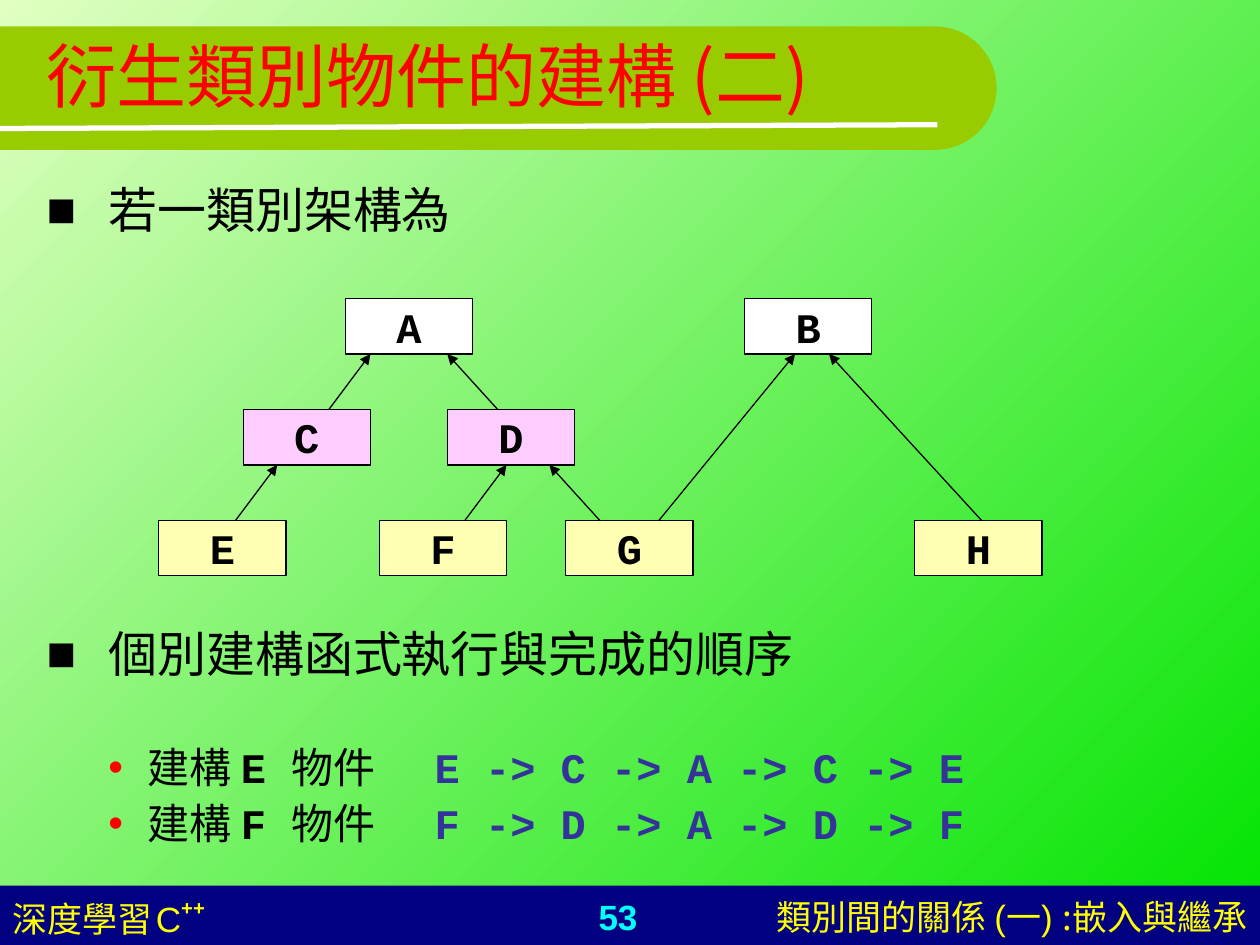
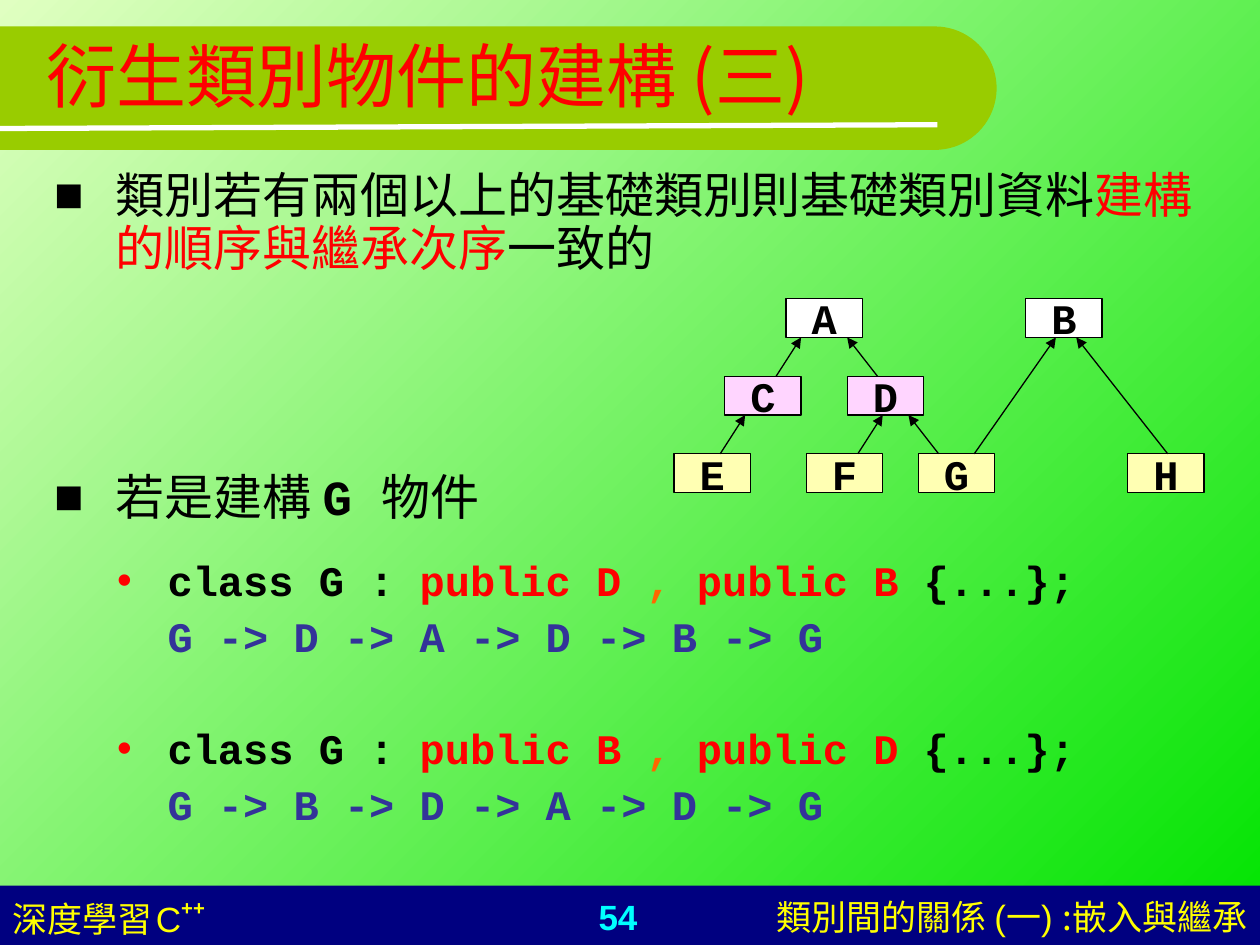
from dataclasses import dataclass
from math import cos, pi, sin

from lxml.etree import SubElement as Sub
from pptx import Presentation
from pptx.dml.color import RGBColor as RGB
from pptx.enum.shapes import MSO_CONNECTOR as Link, MSO_SHAPE as Kind
from pptx.enum.text import MSO_ANCHOR as Anchor, MSO_AUTO_SIZE as Fit, PP_ALIGN as Align
from pptx.oxml.ns import qn
from pptx.util import Inches, Pt


@dataclass(frozen=True)
class Theme:
    light: str = "E0FFC1"
    deep: str = "00E400"
    band: str = "99CC00"
    navy: str = "000080"
    cyan: str = "00FFFF"
    yellow: str = "FFFF00"
    red: str = "FF0000"
    orange: str = "FF6600"
    blue: str = "333399"
    black: str = "000000"
    white: str = "FFFFFF"
    cream: str = "FFFFB3"
    pink: str = "FFCCFF"
    pale: str = "FFD5FF"
    sans: str = "Arial"
    code: str = "Courier New"
    han: str = "Noto Sans CJK SC"
    trad: str = "Noto Sans CJK TC"
    head: int = 40
    main: int = 28
    sub: int = 24
    foot: int = 20
    tiny: int = 8


T = Theme()

# Class tree: left edge of each box and its row, measured from the left box.
NODES = {"A": (1.48, 0), "B": (4.65, 0), "C": (0.67, 1), "D": (2.29, 1),
         "E": (0, 2), "F": (1.75, 2), "G": (3.23, 2), "H": (6, 2)}
# Child, parent, and where the arrow leaves and lands along each box.
LINKS = [("C", "A", 0.68, 0.2), ("D", "A", 0.4, 0.81), ("G", "B", 0.74, 0.4),
         ("E", "C", 0.61, 0.27), ("F", "D", 0.68, 0.47), ("G", "D", 0.27, 0.81),
         ("H", "B", 0.53, 0.67)]
WIDE, HIGH, STEP = 1.01, 0.44, 0.88


def write(par, text, size=T.sub, font=T.code, color=T.black, bold=False, base=0):
    run = par.add_run()
    run.text = text
    face = run.font
    face.size, face.name, face.bold = Pt(size), font, bold
    face.color.rgb = RGB.from_string(color)
    props = run.font._element
    if font in (T.han, T.trad):
        Sub(props, qn("a:ea"), typeface=font)
    if base:
        props.set("baseline", str(base * 1000))


def indent(par, left, hang=0, mark=None, color=T.black, tab=None):
    """Set the margin, and a bullet and tab stop where given."""
    props = par._p.get_or_add_pPr()
    props.set("marL", str(Inches(left)))
    props.set("indent", str(Inches(-hang)))
    if mark:
        Sub(Sub(props, qn("a:buClr")), qn("a:srgbClr"), val=color)
        Sub(props, qn("a:buFont"), typeface=T.sans)
        Sub(props, qn("a:buChar"), char=mark)
    else:
        Sub(props, qn("a:buNone"))
    if tab:
        Sub(Sub(props, qn("a:tabLst")), qn("a:tab"), pos=str(Inches(tab)), algn="l")


class Deck:
    def __init__(self):
        self.prs = Presentation()
        self.prs.slide_width, self.prs.slide_height = Inches(10), Inches(7.5)
        fill = self.prs.slide_master.background.fill
        fill.gradient()
        fill.gradient_angle = 315
        for stop, color in zip(fill.gradient_stops, (T.light, T.deep)):
            stop.color.rgb = RGB.from_string(color)

    def page(self, title, number):
        self.slide = self.prs.slides.add_slide(self.prs.slide_layouts[1])
        self.shapes = self.slide.shapes
        self.box(0, 7.03, 10, 0.47, T.navy)
        self.label(3.74, 2.33, Align.CENTER,
                   [(str(number), dict(color=T.cyan, bold=True))])
        self.label(5.08, 4.92, Align.RIGHT,
                   [("類別間的關係 (一) ", {}), (":", dict(font=T.trad)),
                    ("嵌入與繼承", dict(font=T.han))])
        self.label(0, 3.58, Align.LEFT,
                   [("深度學習", {}), (" ", dict(size=T.tiny)), ("C", {}),
                    ("++", dict(bold=True, base=46))])
        self.band()
        frame = self.place(self.shapes.title, 0.27, -0.03, 9, 1.25)
        frame.vertical_anchor = Anchor.MIDDLE
        par = frame.paragraphs[0]
        par.alignment = Align.LEFT
        write(par, title, size=T.head, font=T.han, color=T.red)

    def paint(self, shape, fill, line=None):
        shape.shadow.inherit = False
        shape.fill.solid()
        shape.fill.fore_color.rgb = RGB.from_string(fill)
        if line:
            shape.line.color.rgb = RGB.from_string(line)
            shape.line.width = Pt(0.75)
        else:
            shape.line.fill.background()

    def box(self, left, top, width, height, fill, text=None):
        shape = self.shapes.add_shape(Kind.RECTANGLE, Inches(left), Inches(top),
                                      Inches(width), Inches(height))
        self.paint(shape, fill, T.black if text else None)
        if text:
            frame = shape.text_frame
            frame.word_wrap = False
            frame.vertical_anchor = Anchor.MIDDLE
            frame.paragraphs[0].alignment = Align.CENTER
            write(frame.paragraphs[0], text, bold=True)

    def label(self, left, width, align, runs):
        """Add one footer text."""
        frame = self.shapes.add_textbox(Inches(left), Inches(7.06), Inches(width),
                                        Inches(0.44)).text_frame
        frame.word_wrap = True
        par = frame.paragraphs[0]
        par.alignment = align
        for text, look in runs:
            write(par, text, **dict(dict(size=T.foot, font=T.sans, color=T.yellow), **look))

    def line(self, start, end, color=T.black, width=0.75, arrow=True):
        link = self.shapes.add_connector(Link.STRAIGHT, *map(Inches, (*start, *end)))
        link.line.color.rgb = RGB.from_string(color)
        link.line.width = Pt(width)
        if arrow:
            Sub(link.line._get_or_add_ln(), qn("a:tailEnd"), type="triangle")
        Sub(link._element.spPr, qn("a:effectLst"))

    def band(self):
        """Draw the title band with its round right end and white rule."""
        edge, top, half = 7.42, 0.21, 0.49
        turns = [pi * i / 40 - pi / 2 for i in range(41)]
        arc = [(edge + half * cos(a), top + half + half * sin(a)) for a in turns]
        form = self.shapes.build_freeform(0, Inches(top))
        form.add_line_segments([(Inches(x), Inches(y)) for x, y in arc]
                               + [(0, Inches(top + 2 * half))])
        self.paint(form.convert_to_shape(), T.band)
        self.line((0, 1.02), (7.44, 0.99), T.white, 3, arrow=False)

    def place(self, holder, left, top, width, height):
        """Move a placeholder to the front and return its text frame."""
        holder.left, holder.top = Inches(left), Inches(top)
        holder.width, holder.height = Inches(width), Inches(height)
        holder.element.getparent().append(holder.element)
        frame = holder.text_frame
        frame.auto_size = Fit.NONE
        frame.word_wrap = True
        return frame

    def body(self, at, items):
        """Fill the list; an item is level, space before, indent and runs."""
        frame = self.place(self.slide.placeholders[1], *at)
        for i, (level, gap, shift, runs) in enumerate(items):
            par = frame.paragraphs[0] if i == 0 else frame.add_paragraph()
            par.level = level
            indent(par, **shift)
            par.line_spacing, par.space_before = 0.9, Pt(gap)
            for text, look in runs:
                write(par, text, **dict(dict(size=T.sub if level else T.main), **look))

    def tree(self, left, top, across, down, fills):
        """Draw the class tree, scaled across and down."""
        def spot(x, y):
            return left + x * across, top + y * down

        for name, (x, row) in NODES.items():
            self.box(*spot(x, row * STEP), WIDE * across, HIGH * down, fills[row], name)
        for kid, base, leave, land in LINKS:
            (x1, row1), (x2, row2) = NODES[kid], NODES[base]
            self.line(spot(x1 + leave, row1 * STEP), spot(x2 + land, row2 * STEP + HIGH))


SQUARE = dict(left=0.49, hang=0.49, mark="■")
BOLD, RED, BLUE = dict(bold=True), dict(bold=True, color=T.red), dict(bold=True, color=T.blue)


def build(name, order):
    """Item for the order in which one object is built."""
    return [("建構 ", {}), (name + " ", BOLD), ("物件\t", {}), (order, BLUE)]


def derive(first, second):
    """Runs for the head of class G with its two bases."""
    return [("class G : ", BOLD), ("public " + first, RED),
            (" , ", dict(bold=True, color=T.orange)),
            ("public " + second, RED), (" {...};", BOLD)]


def main():
    deck = Deck()

    deck.page("衍生類別物件的建構 (二)", 53)
    dot = dict(left=0.8, hang=0.31, mark="•", color=T.red, tab=3.08)
    deck.body((0.27, 1.43, 9, 5.51), [
        (0, 0, SQUARE, [("若一類別架構為", {})]),
        (0, 223.5, SQUARE, [("個別建構函式執行與完成的順序", {})]),
        (1, 36.5, dot, build("E", "E -> C -> A -> C -> E")),
        (1, 6, dot, build("F", "F -> D -> A -> D -> F"))])
    deck.tree(1.26, 2.37, 1, 1, (T.white, T.pink, T.cream))

    deck.page("衍生類別物件的建構 (三)", 54)
    dot = dict(left=0.9, hang=0.4, mark="•", color=T.red)
    plain = dict(left=0.9)
    deck.body((0.33, 1.31, 9.31, 5.59), [
        (0, 0, SQUARE, [("類別若有兩個以上的基礎類別則基礎類別資料", {}),
                        ("建構的順序與繼承次序", dict(color=T.red)), ("一致的", {})]),
        (0, 112, SQUARE, [("若是建構 ", {}), ("G ", BOLD), ("物件", {})]),
        (1, 19.5, dot, derive("D", "B")),
        (1, 6, plain, [("G -> D -> A -> D -> B -> G", BLUE)]),
        (1, 38, dot, derive("B", "D")),
        (1, 6, plain, [("G -> B -> D -> A -> D -> G", BLUE)])])
    deck.tree(5.35, 2.37, 0.6, 0.7, (T.white, T.pale, T.cream))

    deck.prs.save("out.pptx")


if __name__ == "__main__":
    main()
